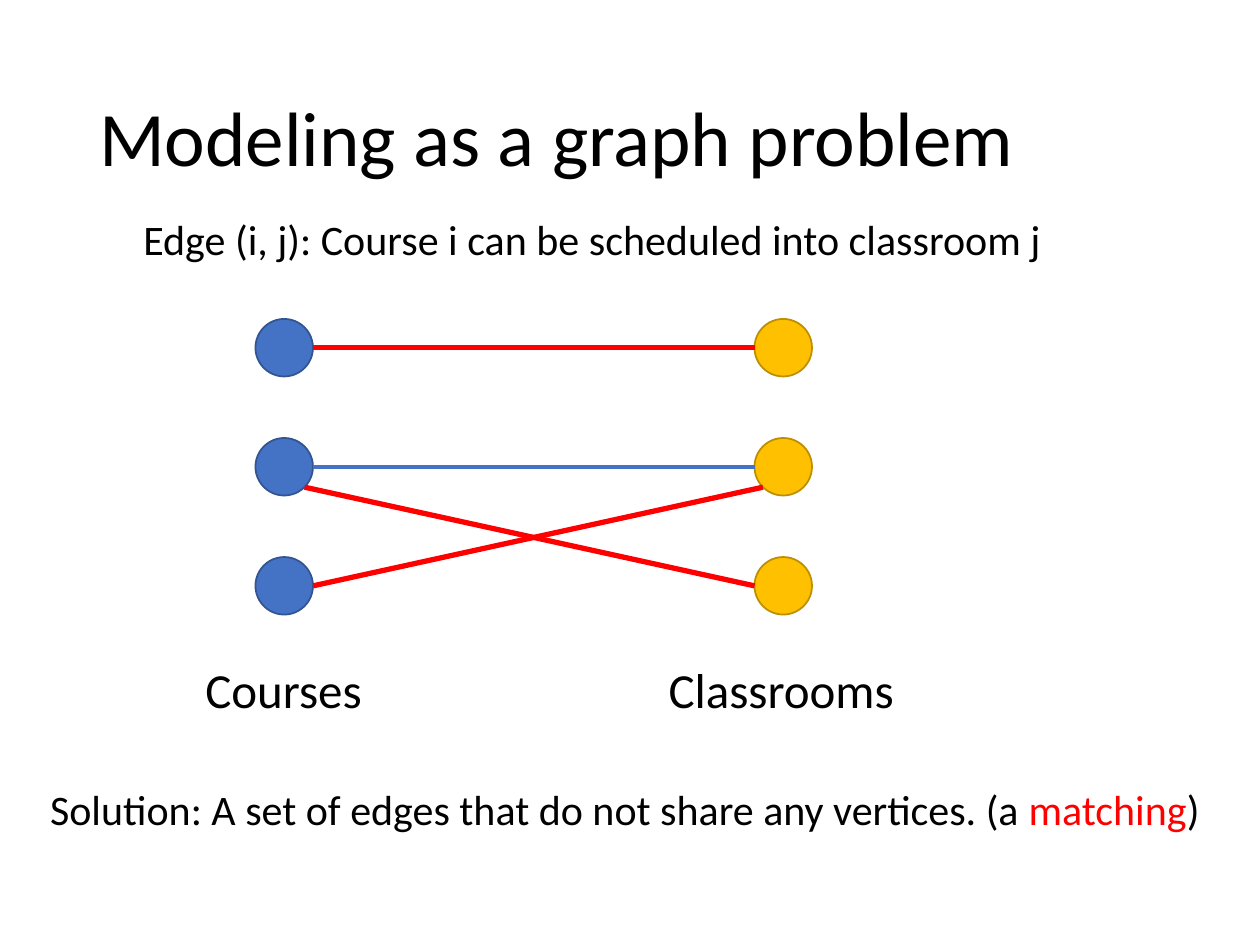
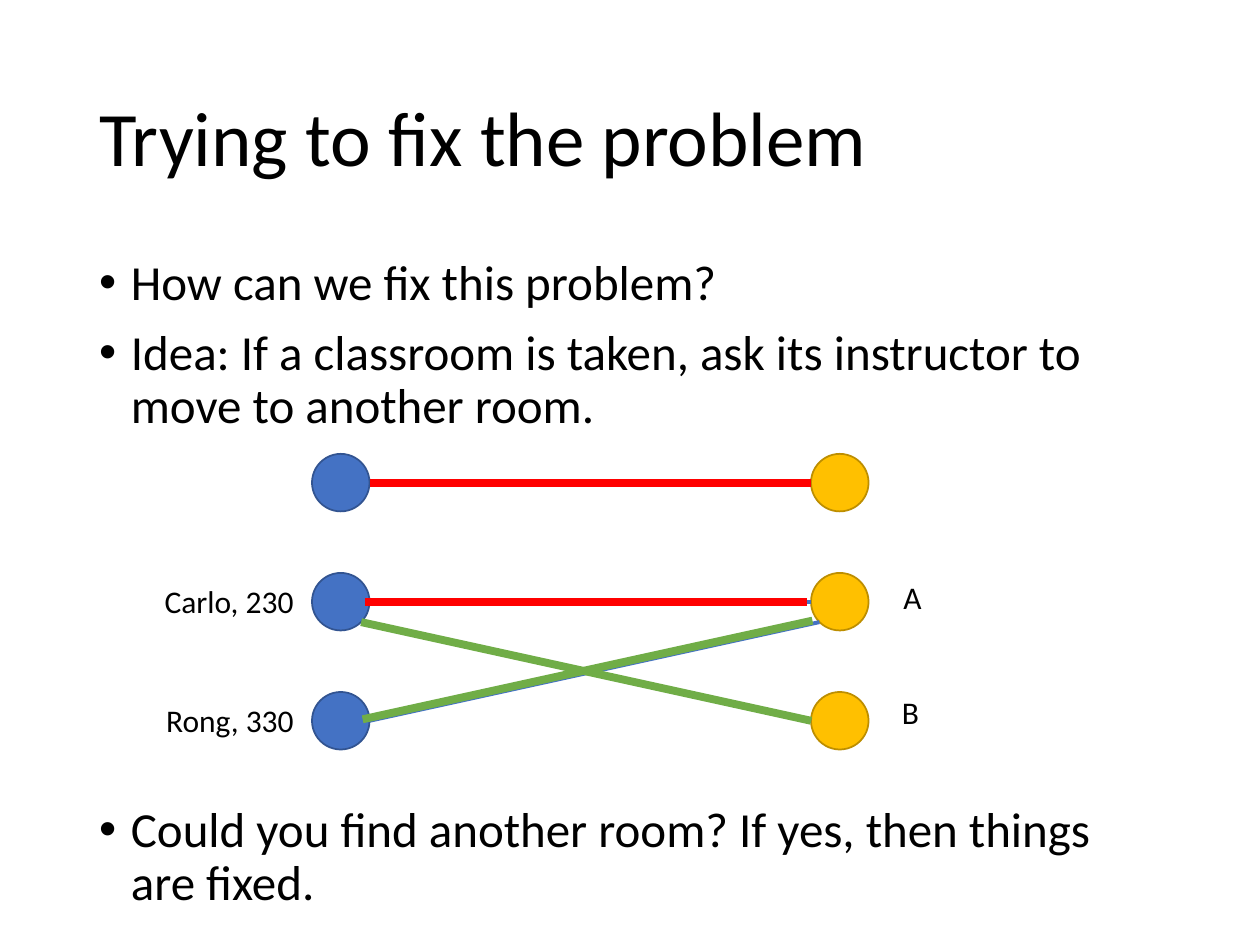
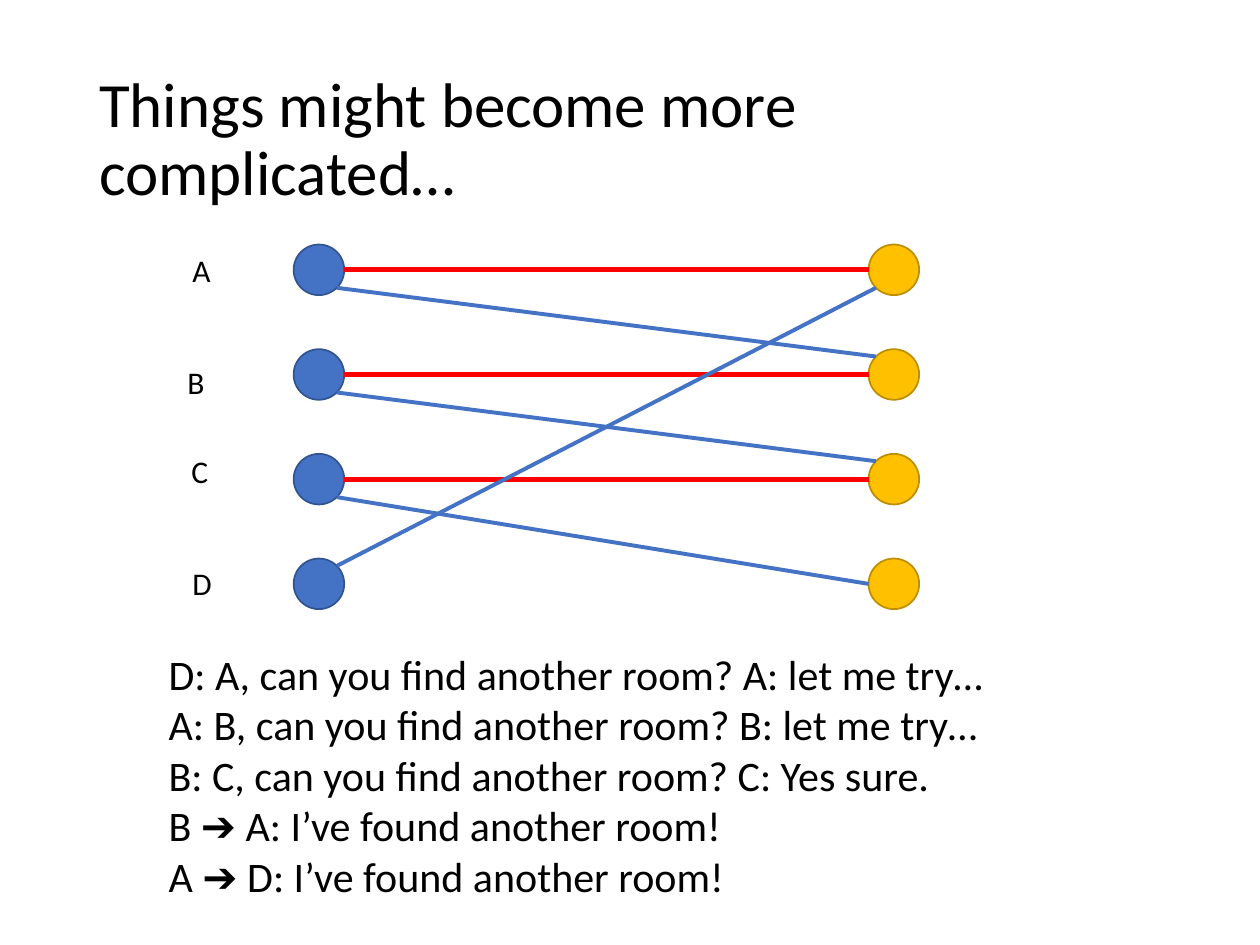
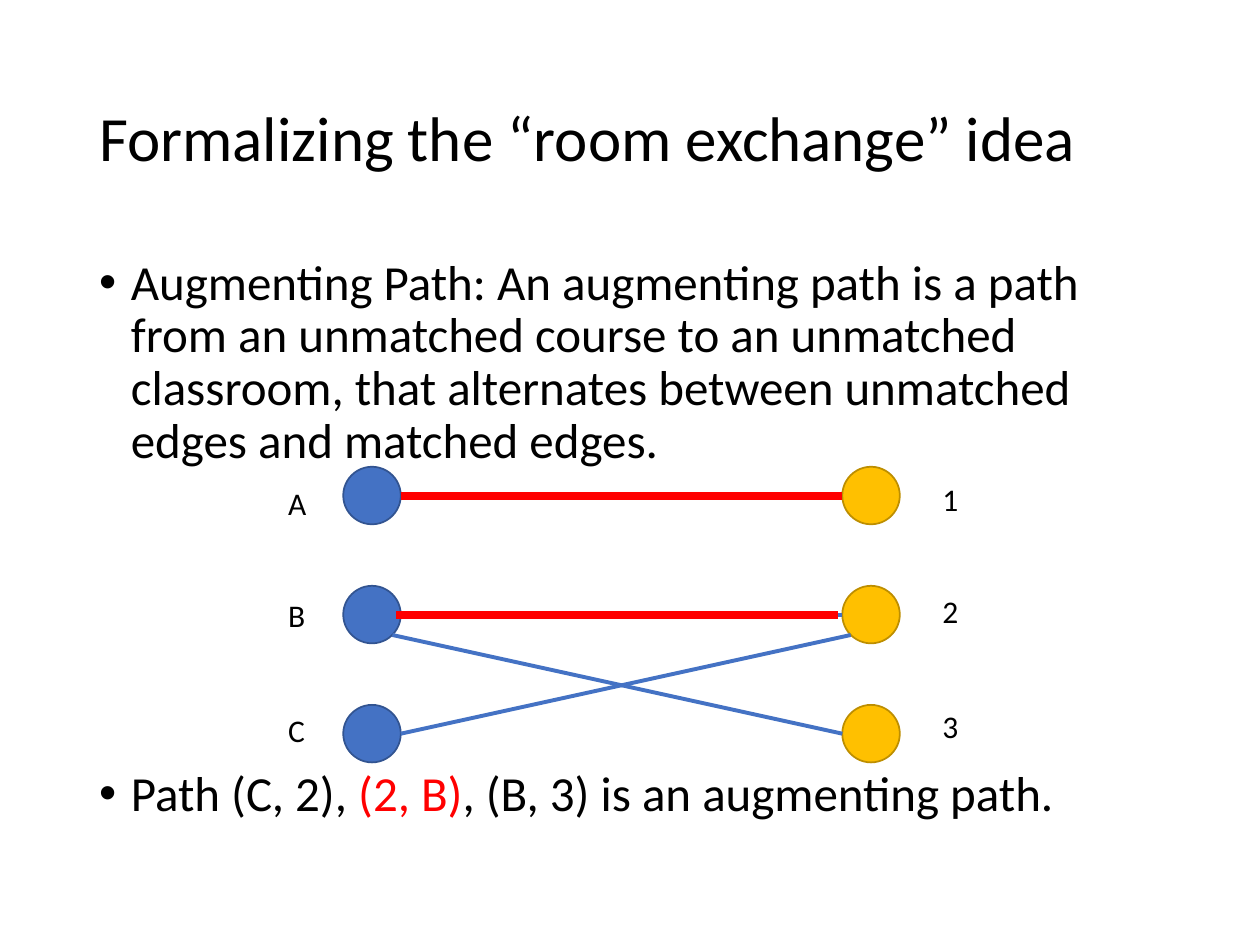
"""Build four slides on matching courses to classrooms."""
from lxml.etree import SubElement
from pptx import Presentation
from pptx.dml.color import RGBColor
from pptx.enum.shapes import MSO_CONNECTOR, MSO_SHAPE
from pptx.enum.text import MSO_ANCHOR, MSO_AUTO_SIZE
from pptx.oxml.ns import qn
from pptx.util import Cm, Pt

OVAL = MSO_SHAPE.OVAL
STRAIGHT = MSO_CONNECTOR.STRAIGHT
MIDDLE = MSO_ANCHOR.MIDDLE
GROW = MSO_AUTO_SIZE.SHAPE_TO_FIT_TEXT
FIXED = MSO_AUTO_SIZE.NONE

FONT = "Calibri"
BLACK, RED, GREEN = "000000", "FF0000", "70AD47"
BLUE, NAVY = "4472C4", "325491"
GOLD, OCHRE = "FFC000", "BD8E00"
THIN, MID, THICK = 2.25, 3, 4.5
EAST, WEST = (1, 0), (-1, 0)
NE, NW, SE, SW = (0.71, -0.71), (-0.71, -0.71), (0.71, 0.71), (-0.71, 0.71)
hue = RGBColor.from_string


def write(slide, box, paras, size, wrap=True, fit=GROW):
    """Add a text box; each paragraph is a list of (text, colour) runs."""
    frame = slide.shapes.add_textbox(*map(Cm, box)).text_frame
    frame.word_wrap = wrap
    frame.auto_size = fit
    for k, runs in enumerate(paras):
        para = frame.add_paragraph() if k else frame.paragraphs[0]
        for words, tint in runs:
            run = para.add_run()
            run.text = words
            run.font.name = FONT
            run.font.size = Pt(size)
            run.font.color.rgb = hue(tint)
    return frame


def join(slide, start, end, tint, width):
    """Draw a straight edge between two points."""
    edge = slide.shapes.add_connector(STRAIGHT, *map(Cm, start + end))
    edge.line.color.rgb = hue(tint)
    edge.line.width = Pt(width)
    SubElement(edge._element.spPr, qn("a:effectLst"))


level = [(k, EAST, k, WEST) for k in range(3)]
cross = [(1, SE, 2, WEST), (2, EAST, 1, SW)]
base = [(*way, BLUE, THIN, 0, 0) for way in level[:2] + cross]
match = [(*level[0], RED, THICK, 0, 0), (*level[1], RED, THICK, -0.09, 0)]
steps = [(0, SE, 1, NW), (1, SE, 2, NW), (2, SE, 3, WEST), (3, NE, 0, SW)]

decks = [
    dict(
        title="Modeling as a graph problem", size=44, body=[], gap=0,
        graph=(5.73, 7.01, 10.06, 2.4, 0.58, 3),
        edges=base + [(*way, RED, MID, 0, 0) for way in level[:1] + cross],
        notes=[
            (3.89, 13.18, 3.71, 1.45, 28, ["Courses"]),
            (13.23, 13.18, 5.11, 1.45, 28, ["Classrooms"]),
            (2.64, 4.17, 18.77, 1.27, 24,
             ["Edge (i, j): Course i can be scheduled into classroom j"]),
        ],
        tags=[],
    ),
    dict(
        title="Trying to fix the problem", size=44, gap=212,
        body=[
            [("How can we fix this problem?", BLACK)],
            [("Idea: If a classroom is taken, ask its instructor to move "
              "to another room.", BLACK)],
            [("Could you find another room? If yes, then things are fixed.",
              BLACK)],
        ],
        graph=(6.87, 9.73, 10.06, 2.4, 0.58, 3),
        edges=base + match + [(*cross[0], GREEN, THICK, 0, 0),
                              (*cross[1], GREEN, THICK, -0.14, -0.03)],
        notes=[
            (3.07, 11.61, 3.15, 1.02, 18, ["Carlo, 230"]),
            (3.1, 14, 3.12, 1.02, 18, ["Rong, 330"]),
            (17.96, 11.53, 0.89, 1.02, 18, ["A"]),
            (17.93, 13.84, 0.89, 1.02, 18, ["B"]),
        ],
        tags=[],
    ),
    dict(
        title="Things might become more complicated…", size=36, body=[], gap=0,
        graph=(6.43, 5.44, 11.59, 2.11, 0.51, 4),
        edges=[(*way, RED, MID, 0, 0) for way in level]
        + [(*way, BLUE, THIN, 0, 0) for way in steps],
        notes=[
            (3.15, 12.95, 17.07, 6.05, 24, [
                "D: A, can you find another room? A: let me try…",
                "A: B, can you find another room? B: let me try…",
                "B: C, can you find another room? C: Yes sure.",
                "B ➔ A: I’ve found another room!",
                "A ➔ D: I’ve found another room!",
            ]),
        ],
        tags=[("A", 3.63, 4.93), ("B", 3.53, 7.19),
              ("C", 3.61, 8.99), ("D", 3.63, 11.25)],
    ),
    dict(
        title="Formalizing the “room exchange” idea", size=36, gap=171,
        body=[
            [("Augmenting Path: An augmenting path is a path from an "
              "unmatched course to an unmatched classroom, that alternates "
              "between unmatched edges and matched edges.", BLACK)],
            [("Path (C, 2), ", BLACK), ("(2, B)", RED),
             (", (B, 3) is an augmenting path.", BLACK)],
        ],
        graph=(7.5, 9.99, 10.06, 2.4, 0.58, 3),
        edges=base + match,
        notes=[],
        tags=[("A", 5.56, 9.63), ("B", 5.56, 11.89), ("C", 5.56, 14.2),
              ("1", 18.75, 9.55), ("2", 18.75, 11.81), ("3", 18.75, 14.12)],
    ),
]

prs = Presentation()
prs.slide_width, prs.slide_height = Cm(25.4), Cm(19.05)
pages = []

for deck in decks:
    slide = prs.slides.add_slide(prs.slide_layouts[6])
    pages.append(slide)

    head = write(slide, (1.75, 1.01, 21.9, 3.68),
                 [[(deck["title"], BLACK)]], deck["size"], fit=FIXED)
    head.vertical_anchor = MIDDLE
    head.paragraphs[0].line_spacing = 0.9

    if deck["body"]:
        body = write(slide, (1.75, 5.07, 21.9, 13.3), deck["body"], 28,
                     fit=FIXED)
        for para in body.paragraphs:
            para.line_spacing = 0.9
            para.space_before = Pt(10)
        para.space_before = Pt(deck["gap"])
        for para in body.paragraphs:
            props = para._p.get_or_add_pPr()
            props.set("marL", str(Cm(0.64)))
            props.set("indent", str(Cm(-0.64)))
            SubElement(props, qn("a:buFont"), typeface="Arial")
            SubElement(props, qn("a:buChar"), char="•")

    left, top, span, pitch, half, rows = deck["graph"]
    for x, fill, rim in ((left, BLUE, NAVY), (left + span, GOLD, OCHRE)):
        for row in range(rows):
            y = top + row * pitch
            node = slide.shapes.add_shape(
                OVAL, Cm(x - half), Cm(y - half), Cm(2 * half), Cm(2 * half))
            node.shadow.inherit = False
            node.fill.solid()
            node.fill.fore_color.rgb = hue(fill)
            node.line.color.rgb = hue(rim)
            node.line.width = Pt(1)

    for a, out, b, into, tint, width, dx, dy in deck["edges"]:
        start = (left + half * out[0] + dx,
                 top + a * pitch + half * out[1] + dy)
        end = (left + span + half * into[0] + dx,
               top + b * pitch + half * into[1] + dy)
        join(slide, start, end, tint, width)

    for *box, size, lines in deck["notes"]:
        write(slide, box, [[(text, BLACK)] for text in lines], size, wrap=False)
    for text, x, y in deck["tags"]:
        write(slide, (x, y, 1.65, 1.02), [[(text, BLACK)]], 18)

write(pages[0], (0.76, 15.67, 23.9, 1.27),
      [[("Solution: A set of edges that do not share any vertices. (a ", BLACK),
        ("matching", RED), (")", BLACK)]], 24, wrap=False)

prs.save("out.pptx")
